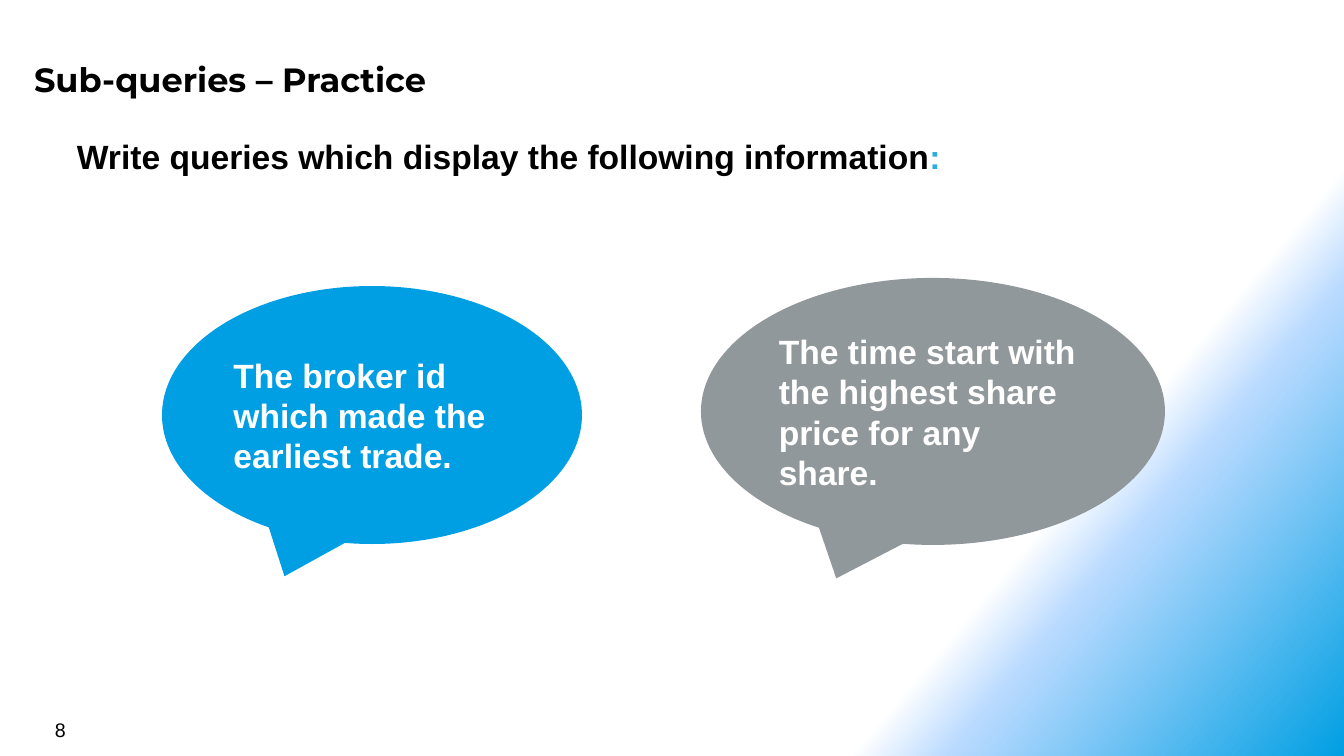
import copy

import pptx
import pptx.dml.color
import pptx.enum.shapes
import pptx.enum.text
import pptx.util

BLACK = pptx.dml.color.RGBColor(0x00, 0x00, 0x00)
WHITE = pptx.dml.color.RGBColor(0xFF, 0xFF, 0xFF)
BLUE = pptx.dml.color.RGBColor(0x00, 0x9F, 0xE3)
PALE_BLUE = pptx.dml.color.RGBColor(0xB9, 0xDA, 0xFF)
COLON_BLUE = pptx.dml.color.RGBColor(0x2E, 0xAB, 0xE2)
GRAY = pptx.dml.color.RGBColor(0x91, 0x98, 0x9C)

SLIDE_SIZE = (1344, 756)
EMU_PER_PX = 12192000 / SLIDE_SIZE[0]

BACKGROUND_STOPS = [(0.75, WHITE), (0.8, PALE_BLUE), (1.0, BLUE)]
BACKGROUND_ANGLE = 320

CALLOUTS = [
    ("The broker id which made the earliest trade.", (162, 286, 420, 258), BLUE),
    ("The time start with the highest share price for any share.", (701, 278, 464, 267), GRAY),
]

TEXTS = [
    ([("Write queries which display the following information", BLACK), (":", COLON_BLUE)],
     (67, 131, 1182, 50), "Arial", 24, True, None),
    ([("Sub-queries – Practice", BLACK)], (26, 51, 1236, 55), "Montserrat", 24, True, 8),
    ([("8", BLACK)], (45, 713, 313, 33), "Arial", 14, False, None),
]


def px(length):
    return pptx.util.Emu(round(length * EMU_PER_PX))


def set_font(paragraph, name, size, bold):
    paragraph.font.name = name
    paragraph.font.size = pptx.util.Pt(size)
    paragraph.font.bold = bold


def paint_background(slide):
    fill = slide.background.fill
    fill.gradient()
    fill.gradient_angle = BACKGROUND_ANGLE
    stop_list = slide.background._cSld.find(".//" + pptx.oxml.ns.qn("a:gsLst"))
    stop_list.append(copy.deepcopy(stop_list[0]))
    for stop, (position, color) in zip(fill.gradient_stops, BACKGROUND_STOPS):
        stop.position = position
        stop.color.rgb = color


def add_callout(slide, text, box, color):
    shape = slide.shapes.add_shape(
        pptx.enum.shapes.MSO_SHAPE.OVAL_CALLOUT, *map(px, box))
    shape.shadow.inherit = False
    shape.fill.solid()
    shape.fill.fore_color.rgb = color
    shape.line.fill.background()
    frame = shape.text_frame
    frame.word_wrap = True
    frame.vertical_anchor = pptx.enum.text.MSO_ANCHOR.MIDDLE
    paragraph = frame.paragraphs[0]
    paragraph.text = text
    paragraph.alignment = pptx.enum.text.PP_ALIGN.LEFT
    set_font(paragraph, "Arial", 24, True)
    paragraph.font.color.rgb = WHITE


def add_text(slide, runs, box, font_name, size, bold, inset):
    frame = slide.shapes.add_textbox(*map(px, box)).text_frame
    frame.word_wrap = True
    if inset is not None:
        frame.margin_left = frame.margin_right = px(inset)
        frame.margin_top = frame.margin_bottom = px(inset)
    paragraph = frame.paragraphs[0]
    set_font(paragraph, font_name, size, bold)
    for text, color in runs:
        run = paragraph.add_run()
        run.text = text
        run.font.color.rgb = color


def main():
    presentation = pptx.Presentation()
    presentation.slide_width, presentation.slide_height = map(px, SLIDE_SIZE)
    slide = presentation.slides.add_slide(presentation.slide_layouts[6])
    paint_background(slide)
    for callout in CALLOUTS:
        add_callout(slide, *callout)
    for text in TEXTS:
        add_text(slide, *text)
    presentation.save("out.pptx")


if __name__ == "__main__":
    main()
